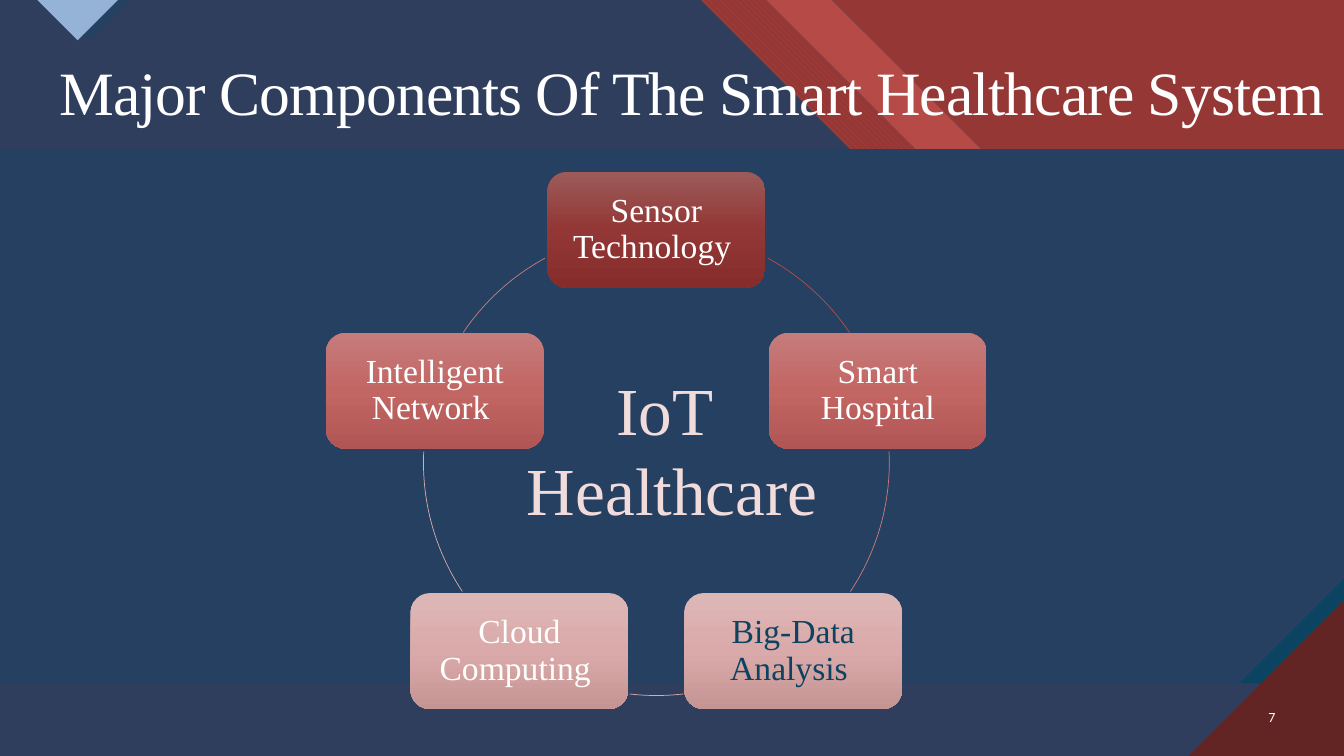
from copy import deepcopy
from dataclasses import dataclass
from math import cos, radians, sin

from pptx import Presentation
from pptx.dml.color import RGBColor
from pptx.dml.fill import FillFormat
from pptx.enum.dml import MSO_PATTERN as Pattern
from pptx.enum.shapes import MSO_SHAPE as Shape
from pptx.enum.text import MSO_ANCHOR as Anchor, MSO_AUTO_SIZE as AutoSize, PP_ALIGN as Align
from pptx.oxml.ns import qn
from pptx.shapes.base import BaseShape
from pptx.slide import Slide
from pptx.text.text import TextFrame
from pptx.util import Inches, Pt

WIDTH, HEIGHT = 13.33, 7.5
HEADER, BODY_END = 1.48, 6.78
SNIP, CORNER = 1.04, 1.54
NAVY, DUSK, RED, MAROON, TEAL, WHITE = "254061", "2E3E5C", "953735", "632523", "0C4360", "FFFFFF"
SERIF = "Times New Roman"
RING_X, RING_Y, RADIUS = 6.51, 4.59, 2.31
NODE_W, NODE_H = 2.16, 1.15

Point = tuple[float, float]
DARK = ("9C5B59", "923735", "862D2B")
MIDDLE = ("C57C7B", "C26664", "B15654")
LIGHT = ("DDB7B6", "DAAAAA", "C59594")


@dataclass
class Component:
    """A box on the ring and the arc that leads clockwise from it."""
    label: str
    shades: tuple[str, str, str]
    arc_start: float
    arc_end: float
    arc_color: str
    text_color: str = WHITE


COMPONENTS = [
    Component("Sensor Technology ", DARK, 298.6, 326, "B74C4A"),
    Component("Smart Hospital", MIDDLE, 357.3, 33.6, "C77D7B"),
    Component("Big-Data Analysis ", LIGHT, 83.4, 96.6, "D9ACAB", TEAL),
    Component("Cloud Computing ", LIGHT, 146.4, 182.7, "D9ACAB"),
    Component("Intelligent Network ", MIDDLE, 214, 241.4, "C77D7B"),
]


def color(value: str) -> RGBColor:
    return RGBColor.from_string(value)


def paint(fill: FillFormat, value: str) -> None:
    fill.solid()
    fill.fore_color.rgb = color(value)


def polygon(page: Slide, points: list[Point], value: str) -> BaseShape:
    corners = [(Inches(x), Inches(y)) for x, y in points]
    builder = page.shapes.build_freeform(*corners[0])
    builder.add_line_segments(corners[1:], close=True)
    shape = builder.convert_to_shape()
    shape.shadow.inherit = False
    shape.line.fill.background()
    paint(shape.fill, value)
    return shape


def write(frame: TextFrame, lines: list[str], size: float, value: str, font: str = SERIF,
          align: Align = Align.CENTER, anchor: Anchor = Anchor.TOP,
          spacing: float = 1.0, inset: float | None = None) -> None:
    frame_format = {"word_wrap": True, "auto_size": AutoSize.NONE, "vertical_anchor": anchor}
    if inset is not None:
        sides = ("left", "right", "top", "bottom")
        frame_format |= {f"margin_{side}": Inches(inset) for side in sides}
    for name, setting in frame_format.items():
        setattr(frame, name, setting)
    for index, line in enumerate(lines):
        para = frame.add_paragraph() if index else frame.paragraphs[0]
        para.alignment, para.line_spacing = align, spacing
        span = para.add_run()
        span.text = line
        for name, setting in {"name": font, "size": Pt(size)}.items():
            setattr(span.font, name, setting)
        span.font.color.rgb = color(value)


def place(shape: BaseShape, left: float, top: float, width: float, height: float) -> None:
    for name, length in {"left": left, "top": top, "width": width, "height": height}.items():
        setattr(shape, name, Inches(length))


def add_text(page: Slide, at: tuple[float, float, float, float], lines: list[str],
             size: float, value: str, **options) -> None:
    box = page.shapes.add_textbox(*map(Inches, at))
    write(box.text_frame, lines, size, value, **options)


def shade(shape: BaseShape, shades: tuple[str, str, str]) -> None:
    """Fill from top to bottom with three evenly spaced colours."""
    shape.fill.gradient()
    shape.fill.gradient_angle = 270
    stop_list = shape.element.find(".//" + qn("a:gsLst"))
    stop_list.insert(1, deepcopy(stop_list[0]))
    for index, stop in enumerate(shape.fill.gradient_stops):
        stop.position = index / 2
        stop.color.rgb = color(shades[index])


def header_band(page: Slide, left: float, right: float, value: str) -> BaseShape:
    """Draw a band of the header whose sides slant at 45 degrees."""
    return polygon(page, [(left, 0), (right, 0), (right + HEADER, HEADER),
                          (left + HEADER, HEADER)], value)


def draw_backdrop(page: Slide) -> None:
    paint(page.background.fill, DUSK)
    polygon(page, [(8.25, 0), (WIDTH, 0), (WIDTH, HEADER), (8.25 + HEADER, HEADER)], RED)
    header_band(page, 7.6, 8.25, "B54A47")
    hatched = header_band(page, 6.95, 7.6, RED)
    hatched.fill.patterned()
    hatched.fill.pattern = Pattern.WIDE_DOWNWARD_DIAGONAL
    hatched.fill.fore_color.rgb = color("B0433F")
    hatched.fill.back_color.rgb = color(RED)
    polygon(page, [(0.48, 0), (1.31, 0), (0.9, 0.41)], NAVY)
    polygon(page, [(0.37, 0), (1.17, 0), (0.77, 0.4)], "95B3D7")
    snip_x, snip_y = WIDTH - SNIP, BODY_END - SNIP
    polygon(page, [(WIDTH, snip_y), (WIDTH, BODY_END), (snip_x, BODY_END)], TEAL)
    polygon(page, [(0, HEADER), (WIDTH, HEADER), (WIDTH, snip_y),
                   (snip_x, BODY_END), (0, BODY_END)], NAVY)
    polygon(page, [(WIDTH - CORNER, HEIGHT), (WIDTH, HEIGHT), (WIDTH, HEIGHT - CORNER)], MAROON)


def draw_component(page: Slide, component: Component, angle: float) -> None:
    left = RING_X + RADIUS * cos(radians(angle)) - NODE_W / 2
    top = RING_Y + RADIUS * sin(radians(angle)) - NODE_H / 2
    node = page.shapes.add_shape(Shape.ROUNDED_RECTANGLE,
                                 *map(Inches, (left, top, NODE_W, NODE_H)))
    node.shadow.inherit = False
    node.line.fill.background()
    shade(node, component.shades)
    write(node.text_frame, [component.label], 24, component.text_color,
          anchor=Anchor.MIDDLE, spacing=0.9, inset=0.15)

    arc = page.shapes.add_shape(Shape.ARC, *map(Inches, (
        RING_X - RADIUS, RING_Y - RADIUS, 2 * RADIUS, 2 * RADIUS)))
    arc.shadow.inherit = False
    arc.fill.background()
    arc.line.color.rgb = color(component.arc_color)
    arc.line.width = Pt(0.5)
    # Arc angles are stored in 60000ths of a degree, adjustments in 100000ths.
    for index, degrees in enumerate((component.arc_start, component.arc_end)):
        arc.adjustments[index] = degrees * 0.6


def draw_title(page: Slide) -> None:
    title = page.shapes.title
    page.shapes.element.append(title.element)  # in front of the backdrop
    place(title, 0.49, 0.57, 12.84, 1.43)
    write(title.text_frame, ["Major Components Of The Smart Healthcare System"], 44, WHITE,
          align=Align.LEFT, spacing=0.9)
    title.text_frame.paragraphs[0].runs[0].font._element.set("spc", "-70")


def main() -> None:
    deck = Presentation()
    deck.slide_width, deck.slide_height = Inches(WIDTH), Inches(HEIGHT)
    page = deck.slides.add_slide(deck.slide_layouts.get_by_name("Title Only"))
    draw_backdrop(page)
    draw_title(page)
    for index, component in enumerate(COMPONENTS):
        draw_component(page, component, index * 360 / len(COMPONENTS) - 90)
    add_text(page, (5.07, 3.6, 3.2, 1.72), ["IoT ", "Healthcare "], 48, "F2DCDB")
    add_text(page, (12.31, 6.91, 0.44, 0.4), ["7"], 10, WHITE, font="Calibri",
             align=Align.RIGHT, anchor=Anchor.MIDDLE)
    deck.save("out.pptx")


if __name__ == "__main__":
    main()
